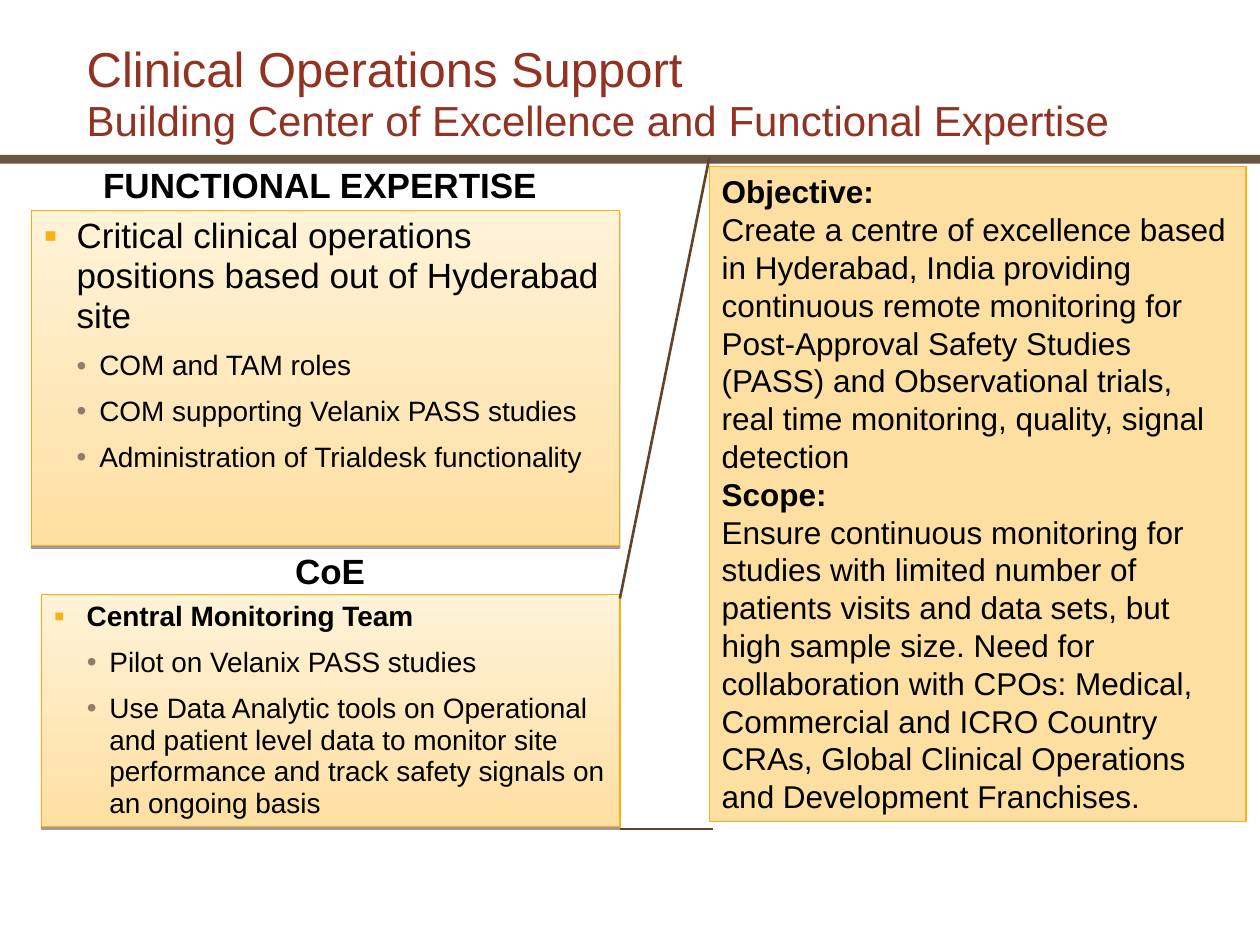
"""Build the Clinical Operations Support slide."""
from lxml import etree
from pptx import Presentation
from pptx.dml.color import RGBColor
from pptx.enum import shapes, text
from pptx.oxml import ns
from pptx.util import Inches, Pt

BLACK = RGBColor(0x00, 0x00, 0x00)
TITLE = RGBColor(0x92, 0x32, 0x22)
BAR = RGBColor(0x6A, 0x55, 0x40)
LINE = RGBColor(0x63, 0x43, 0x29)
GOLD = RGBColor(0xFC, 0xAD, 0x11)
SAND = RGBColor(0xFE, 0xDF, 0xA2)
CREAM = RGBColor(0xFF, 0xF3, 0xD8)
SQUARE = RGBColor(0xFC, 0xAF, 0x17)
DOT = RGBColor(0x91, 0x7B, 0x69)

BULLETS = [("▪", SQUARE, 110, 0.26, 0.26), ("•", DOT, 100, 0.44, 0.18)]


def add_text(tf, lines, color=BLACK, align=text.PP_ALIGN.LEFT):
    tf.word_wrap = True
    for i, (words, size, bold) in enumerate(lines):
        p = tf.paragraphs[0] if i == 0 else tf.add_paragraph()
        p.text = words
        p.alignment = align
        for r in p.runs:
            r.font.name = "Arial"
            r.font.size = Pt(size)
            r.font.bold = bold
            r.font.color.rgb = color


def add_bullet(p, level, before):
    char, color, percent, left, hang = BULLETS[level]
    p.level = level
    p.line_spacing = 0.95
    p.space_before = Pt(before)
    pPr = p._p.get_or_add_pPr()
    pPr.set("marL", str(Inches(left)))
    pPr.set("indent", str(-Inches(hang)))
    clr = etree.SubElement(pPr, ns.qn("a:buClr"))
    etree.SubElement(clr, ns.qn("a:srgbClr"), val=str(color))
    etree.SubElement(pPr, ns.qn("a:buSzPct"), val=str(percent * 1000))
    etree.SubElement(pPr, ns.qn("a:buFont"), typeface="Arial")
    etree.SubElement(pPr, ns.qn("a:buChar"), char=char)


prs = Presentation()
prs.slide_width, prs.slide_height = Inches(10), Inches(7.5)
s = prs.slides.add_slide(prs.slide_layouts[6])

bar = s.shapes.add_shape(shapes.MSO_SHAPE.RECTANGLE, 0, Inches(1.23), Inches(10), Inches(0.07))
bar.shadow.inherit = False
bar.fill.solid()
bar.fill.fore_color.rgb = BAR
bar.line.fill.background()

title = s.shapes.add_textbox(Inches(0.59), Inches(0.28), Inches(9.07), Inches(0.93))
tf = title.text_frame
tf.vertical_anchor = text.MSO_ANCHOR.BOTTOM
add_text(tf, [("Clinical Operations Support\vBuilding Center of Excellence and Functional Expertise",
               28, False)], TITLE)
tf.paragraphs[0].line_spacing = 0.95
tf.paragraphs[0].runs[1].font.size = Pt(24)

panels = [
    ((0.25, 1.67, 4.67, 2.66), 18.7, [
        ("Critical clinical operations positions based out of Hyderabad site", 20, False),
        ("COM and TAM roles", 16, False),
        ("COM supporting Velanix PASS studies", 16, False),
        ("Administration of Trialdesk functionality", 16, False)]),
    ((0.33, 4.72, 4.59, 1.84), 15, [
        ("Central Monitoring Team", 16, True),
        ("Pilot on Velanix PASS studies", 16, False),
        ("Use Data Analytic tools on Operational and patient level data to monitor site "
         "performance and track safety signals on an ongoing basis", 16, False)]),
]
for box, before, lines in panels:
    sp = s.shapes.add_shape(shapes.MSO_SHAPE.RECTANGLE, *map(Inches, box))
    sp.fill.gradient()
    sp.fill.gradient_angle = 90
    for stop, color in zip(sp.fill.gradient_stops, (SAND, CREAM)):
        stop.color.rgb = color
    sp.line.color.rgb = GOLD
    sp.line.width = Pt(0.75)
    sp.shadow.inherit = False
    effects = sp._element.spPr.find(ns.qn("a:effectLst"))
    shadow = etree.SubElement(effects, ns.qn("a:outerShdw"), blurRad="0", dist=str(Pt(1.6)),
                              dir="5400000", rotWithShape="0")
    clr = etree.SubElement(shadow, ns.qn("a:srgbClr"), val=str(BLACK))
    etree.SubElement(clr, ns.qn("a:alpha"), val="38000")
    tf = sp.text_frame
    tf.vertical_anchor = text.MSO_ANCHOR.TOP
    add_text(tf, lines)
    for i, p in enumerate(tf.paragraphs):
        add_bullet(p, min(i, 1), before if i == 0 else 8)

headings = [("FUNCTIONAL EXPERTISE", 0.58, 1.25, 3.92), ("CoE", 0.33, 4.31, 4.58)]
for words, left, top, width in headings:
    tb = s.shapes.add_textbox(Inches(left), Inches(top), Inches(width), Inches(0.44))
    add_text(tb.text_frame, [(words, 20, True)], align=text.PP_ALIGN.CENTER)

sp = s.shapes.add_shape(shapes.MSO_SHAPE.RECTANGLE, Inches(5.63), Inches(1.32), Inches(4.26), Inches(5.2))
sp.shadow.inherit = False
sp.fill.solid()
sp.fill.fore_color.rgb = SAND
sp.line.color.rgb = SQUARE
sp.line.width = Pt(0.75)
sp.text_frame.vertical_anchor = text.MSO_ANCHOR.TOP
add_text(sp.text_frame, [
    ("Objective:", 18, True),
    ("Create a centre of excellence based in Hyderabad, India providing continuous remote "
     "monitoring for Post-Approval Safety Studies (PASS) and Observational trials, real time "
     "monitoring, quality, signal detection", 18, False),
    ("Scope:", 18, True),
    ("Ensure continuous monitoring for studies with limited number of patients visits and data "
     "sets, but high sample size. Need for collaboration with CPOs: Medical, Commercial and ICRO "
     "Country CRAs, Global Clinical Operations and Development Franchises.", 18, False),
])

for ends in [(4.92, 4.75, 5.63, 1.25), (4.92, 6.58, 5.66, 6.58)]:
    line = s.shapes.add_connector(shapes.MSO_CONNECTOR.STRAIGHT, *map(Inches, ends))
    line.line.color.rgb = LINE
    line.line.width = Pt(1.5)
    etree.SubElement(line._element.spPr, ns.qn("a:effectLst"))

prs.save("out.pptx")
